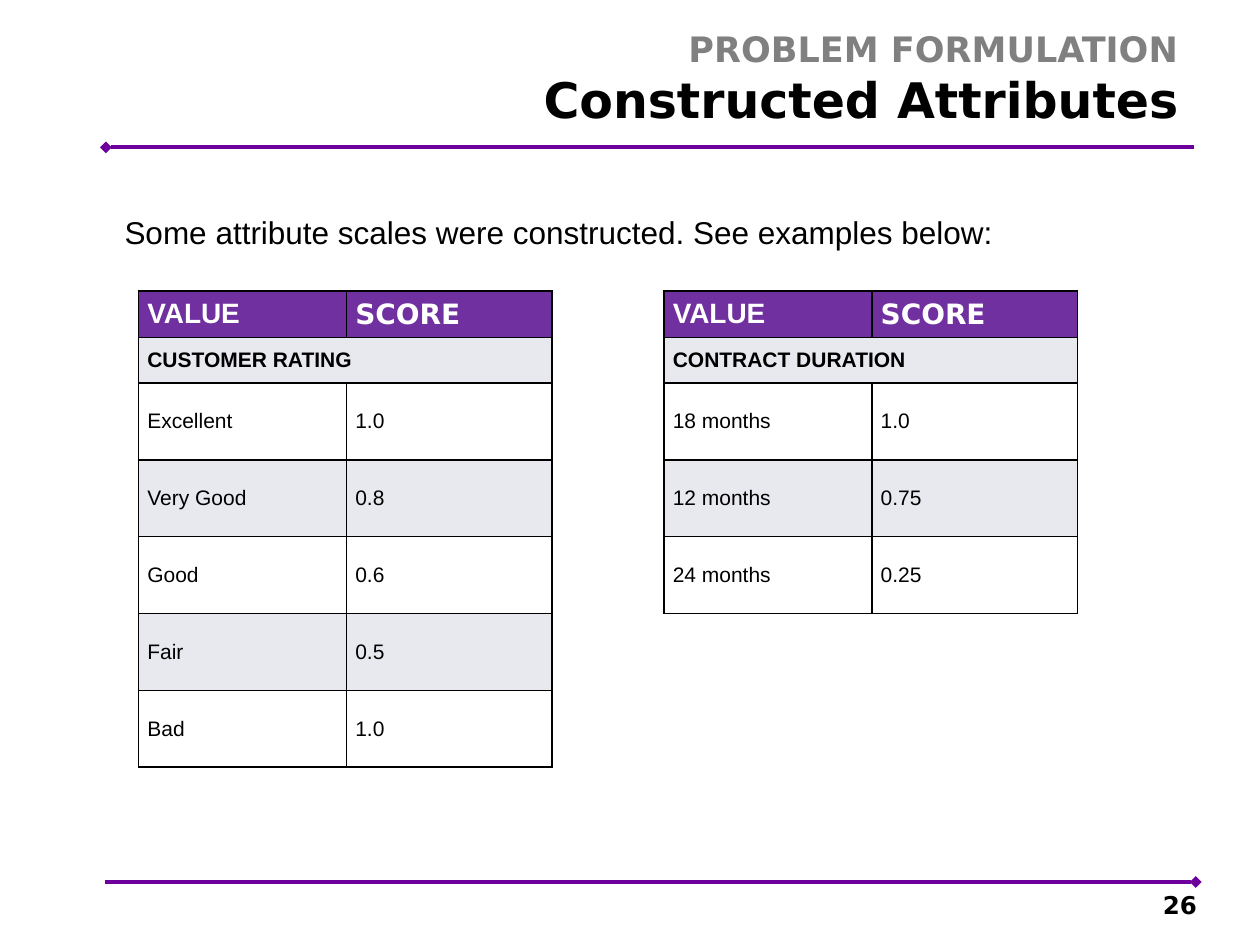
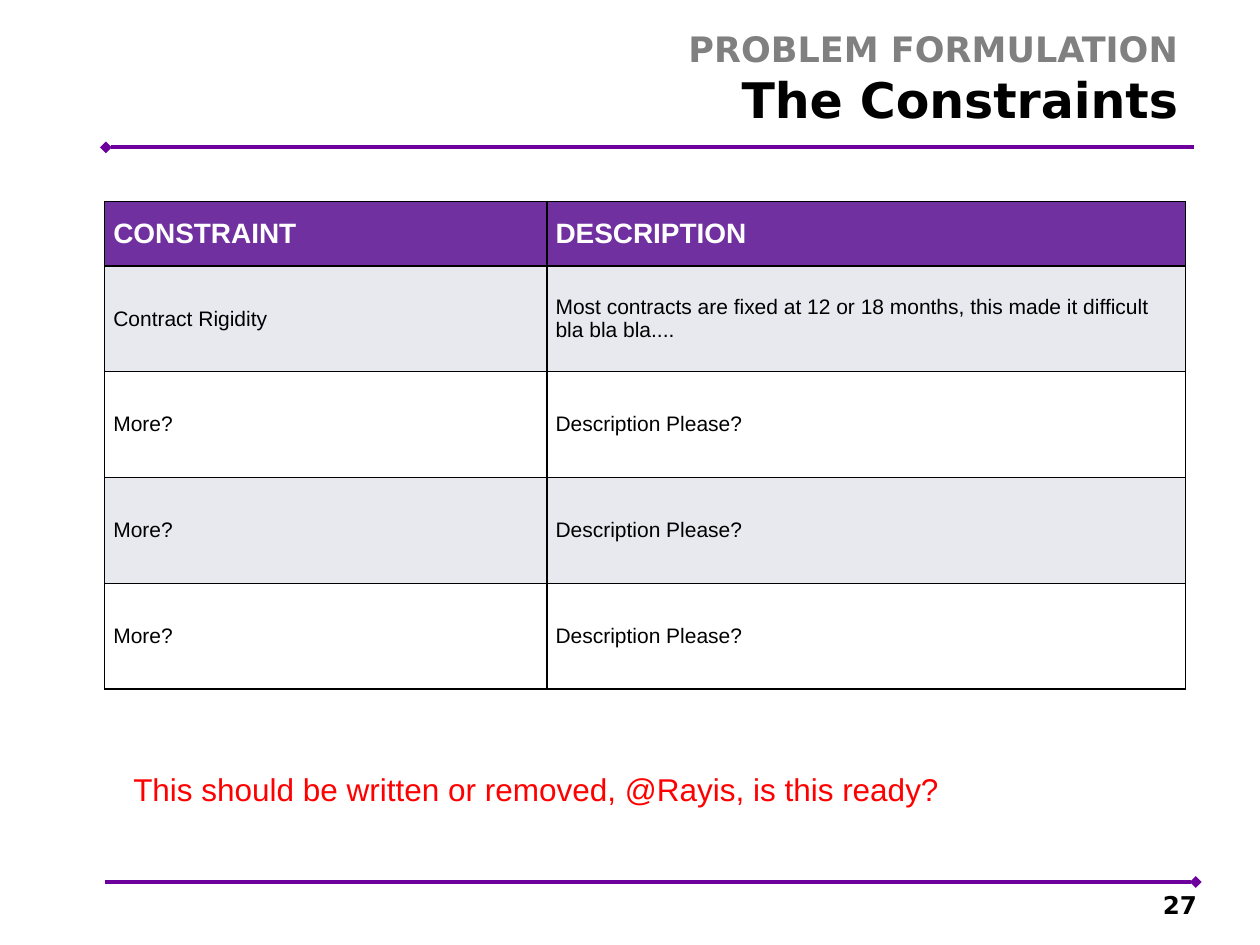
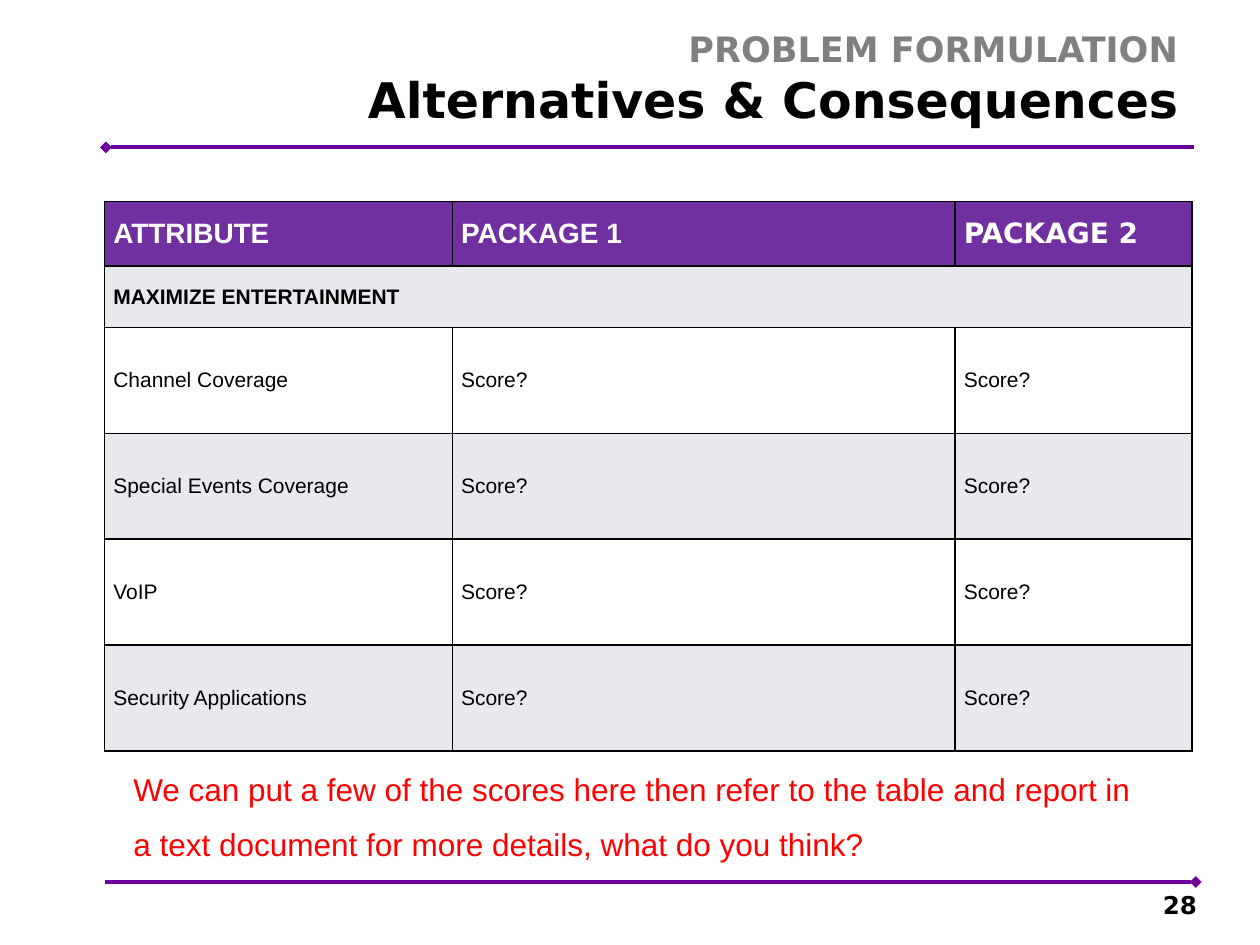
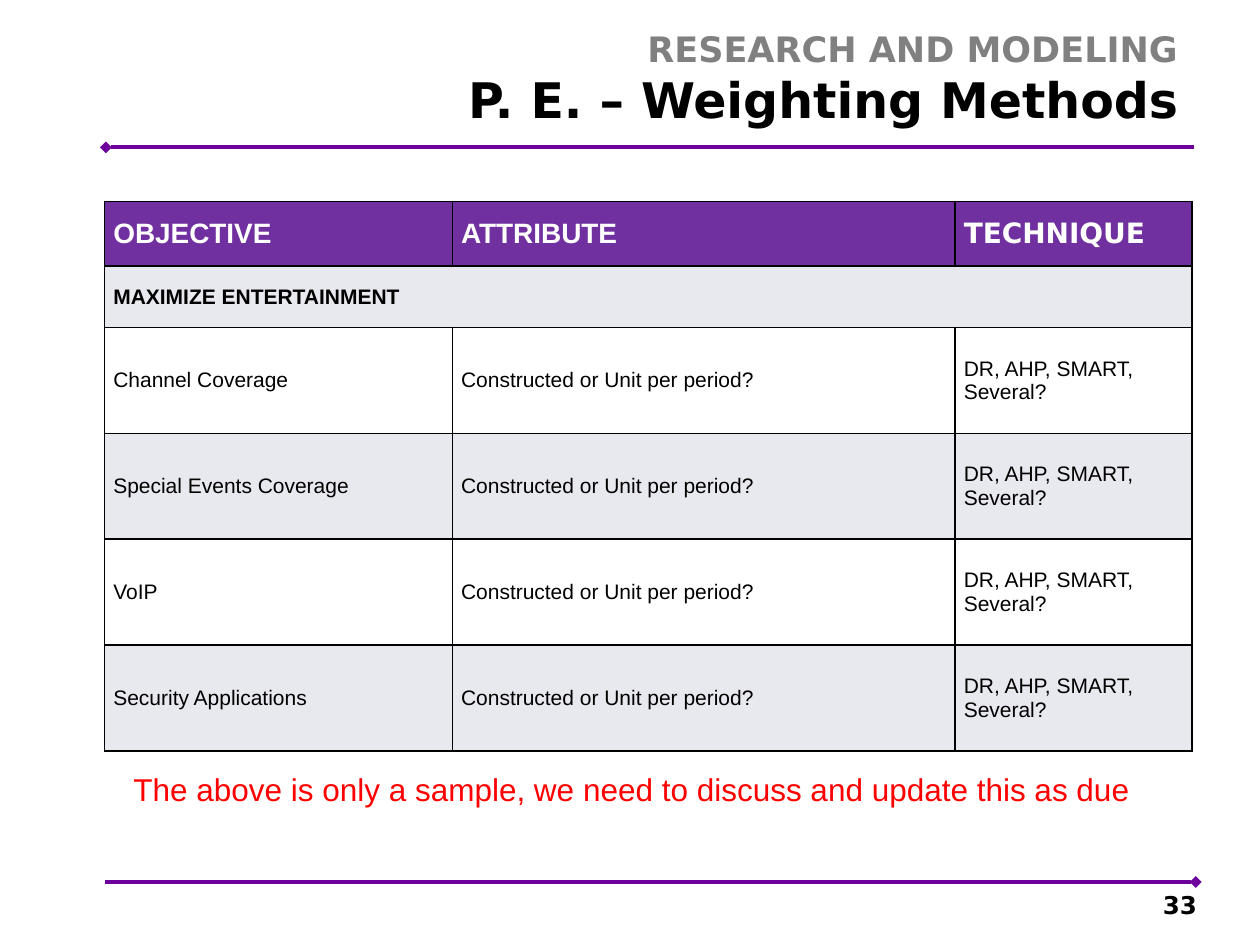
from lxml import etree
from pptx import Presentation
from pptx.dml.color import RGBColor
from pptx.enum.shapes import MSO_CONNECTOR
from pptx.enum.text import MSO_ANCHOR, MSO_AUTO_SIZE, PP_ALIGN
from pptx.oxml.ns import qn
from pptx.util import Inches, Pt

STRAIGHT = MSO_CONNECTOR.STRAIGHT
MIDDLE, BOTTOM = MSO_ANCHOR.MIDDLE, MSO_ANCHOR.BOTTOM
RIGHT = PP_ALIGN.RIGHT
NO_FIT, GROW = MSO_AUTO_SIZE.NONE, MSO_AUTO_SIZE.SHAPE_TO_FIT_TEXT

BODY_FONT, HEAD_FONT = "Arial", "DejaVu Sans"
BLACK, WHITE, GRAY, RED = "000000", "FFFFFF", "808080", "FF0000"
RULE_PURPLE, HEADER_PURPLE, BAND = "6D009D", "7030A0", "E8E8EF"

TITLE_ONLY = 5
TITLE_BOX = (2.64, 0.17, 6.81, 0.9)
NUMBER_BOX = (7.17, 7.06, 2.33, 0.29)
FORMULATION = "PROBLEM FORMULATION"

WIDE_TABLE = (0.83, 1.6)
WIDE_COLUMNS = (2.76, 3.99, 1.88)
WIDE_HEIGHTS = (0.51, 0.49, 0.84)
SCORE_COLUMNS = (1.65, 1.63)
SCORE_HEIGHTS = (0.37, 0.36, 0.61)
OBJECTIVE = "MAXIMIZE ENTERTAINMENT"
ATTRIBUTES = ("Channel Coverage", "Special Events Coverage", "VoIP",
              "Security Applications")


def color(value):
    """Turn a hex string into a colour."""
    return RGBColor.from_string(value)


def style(span, size, fill, font=BODY_FONT, bold=False):
    """Format one run of text."""
    span.font.size = Pt(size)
    span.font.name = font
    span.font.bold = bold
    span.font.color.rgb = color(fill)


def place(shape, box):
    """Move a shape to a box given in inches."""
    shape.left, shape.top, shape.width, shape.height = map(Inches, box)


def add_rule(slide, layout, start, end, diamond_end):
    """Draw a purple rule with one diamond and move it to the layout."""
    rule = slide.shapes.add_connector(STRAIGHT, *map(Inches, (*start, *end)))
    rule.line.color.rgb = color(RULE_PURPLE)
    rule.line.width = Pt(2.25)
    etree.SubElement(rule.line._get_or_add_ln(), qn(diamond_end), type="diamond")
    etree.SubElement(rule.element.spPr, qn("a:effectLst"))
    layout.shapes.element.append(rule.element)


def prepare_layout(slide, layout):
    """Give the layout its rules and its title position."""
    add_rule(slide, layout, (0.84, 1.17), (9.48, 1.17), "a:headEnd")
    add_rule(slide, layout, (0.83, 7), (9.49, 7), "a:tailEnd")
    for holder in list(layout.placeholders):
        if holder.placeholder_format.idx == 0:
            place(holder, TITLE_BOX)
        else:
            holder.element.getparent().remove(holder.element)


def add_heading(slide, section, topic):
    """Fill the title with a small section line above the topic."""
    title = slide.shapes.title
    place(title, TITLE_BOX)
    frame = title.text_frame
    frame.text = f"{section}\v{topic}"
    frame.auto_size = NO_FIT
    para = frame.paragraphs[0]
    para.alignment = RIGHT
    for line_break in title.element.iter(qn("a:br")):
        etree.SubElement(line_break, qn("a:rPr"), sz="2000")
    style(para.runs[0], 20, GRAY, HEAD_FONT, True)
    style(para.runs[1], 28, BLACK, HEAD_FONT, True)


def add_number(slide, number):
    """Write the page number below the lower rule."""
    box = slide.shapes.add_textbox(*map(Inches, NUMBER_BOX))
    frame = box.text_frame
    frame.text = str(number)
    frame.word_wrap = True
    frame.vertical_anchor = BOTTOM
    frame.margin_right = 0
    frame.paragraphs[0].alignment = RIGHT
    style(frame.paragraphs[0].runs[0], 14, BLACK, HEAD_FONT, True)


def add_remark(slide, box, text, fill=RED):
    """Write unwrapped lines of body text."""
    frame = slide.shapes.add_textbox(*map(Inches, box)).text_frame
    frame.text = text
    frame.word_wrap = False
    frame.auto_size = GROW
    for index, para in enumerate(frame.paragraphs):
        para.space_before = Pt(10 if index else 0)
        style(para.runs[0], 18, fill)


def add_borders(cell):
    """Draw a thin black border on the four sides of a cell."""
    properties = cell._tc.get_or_add_tcPr()
    for index, side in enumerate(("a:lnL", "a:lnR", "a:lnT", "a:lnB")):
        line = etree.Element(qn(side), w=str(Pt(1)))
        fill = etree.SubElement(line, qn("a:solidFill"))
        etree.SubElement(fill, qn("a:srgbClr"), val=BLACK)
        properties.insert(index, line)


def fill_cell(cell, text, fill, size, ink, font, bold):
    """Write one table cell with its fill and borders."""
    cell.text = text
    cell.vertical_anchor = MIDDLE
    cell.margin_left = cell.margin_right = Inches(0.07)
    cell.margin_top = cell.margin_bottom = 0
    cell.fill.solid()
    cell.fill.fore_color.rgb = color(fill)
    add_borders(cell)
    for span in cell.text_frame.paragraphs[0].runs:
        style(span, size, ink, font, bold)


def add_banded_table(slide, corner, widths, heights, header, records, group=None):
    """Build a table with a purple header, an optional group row and bands."""
    header_height, group_height, record_height = heights
    rows = [header, *records]
    row_heights = [header_height] + [record_height] * len(records)
    if group:
        rows.insert(1, (group,) + ("",) * (len(widths) - 1))
        row_heights.insert(1, group_height)
    box = (*corner, sum(widths), sum(row_heights))
    table = slide.shapes.add_table(len(rows), len(widths), *map(Inches, box)).table
    for column, width in zip(table.columns, widths):
        column.width = Inches(width)
    for r, (texts, height) in enumerate(zip(rows, row_heights)):
        table.rows[r].height = Inches(height)
        for c, text in enumerate(texts):
            if r == 0:
                last = group and c == len(widths) - 1
                look = (HEADER_PURPLE, 16, WHITE, HEAD_FONT if last else BODY_FONT, True)
            else:
                look = (BAND if r % 2 else WHITE, 12, BLACK, BODY_FONT,
                        bool(group) and r == 1)
            fill_cell(table.cell(r, c), text, *look)
    if group:
        table.cell(1, 0).merge(table.cell(1, len(widths) - 1))


def fill_constructed(slide):
    """Show the two constructed scales side by side."""
    add_remark(slide, (0.89, 1.64, 7.16, 0.4),
               "Some attribute scales were constructed. See examples below:", BLACK)
    ratings = (("Excellent", "1.0"), ("Very Good", "0.8"), ("Good", "0.6"),
               ("Fair", "0.5"), ("Bad", "1.0"))
    durations = (("18 months", "1.0"), ("12 months", "0.75"), ("24 months", "0.25"))
    for left, group, records in ((1.1, "CUSTOMER RATING", ratings),
                                 (5.27, "CONTRACT DURATION", durations)):
        add_banded_table(slide, (left, 2.31), SCORE_COLUMNS, SCORE_HEIGHTS,
                         ("VALUE", "SCORE"), records, group)


def fill_constraints(slide):
    """Show the table of constraints with its remark."""
    rigidity = ("Contract Rigidity", "Most contracts are fixed at 12 or 18 months, "
                "this made it difficult bla bla bla....")
    records = [rigidity] + [("More?", "Description Please?")] * 3
    add_banded_table(slide, WIDE_TABLE, (3.51, 5.07), WIDE_HEIGHTS,
                     ("CONSTRAINT", "DESCRIPTION"), records)
    add_remark(slide, (0.96, 6.06, 6.8, 0.4),
               "This should be written or removed, @Rayis, is this ready?")


def fill_attributes(slide, header, answers, remark, remark_size):
    """Show the attributes with the same answers in each row and a remark."""
    records = [(attribute, *answers) for attribute in ATTRIBUTES]
    add_banded_table(slide, WIDE_TABLE, WIDE_COLUMNS, WIDE_HEIGHTS,
                     header, records, OBJECTIVE)
    add_remark(slide, (0.96, 6.06, *remark_size), remark)


def fill_alternatives(slide):
    """Compare the two packages."""
    fill_attributes(slide, ("ATTRIBUTE", "PACKAGE 1", "PACKAGE 2"),
                    ("Score?", "Score?"),
                    "We can put a few of the scores here then refer to the table "
                    "and report in\na text document for more details, what do you think?",
                    (8.35, 0.86))


def fill_weighting(slide):
    """List the weighting techniques."""
    fill_attributes(slide, ("OBJECTIVE", "ATTRIBUTE", "TECHNIQUE"),
                    ("Constructed or Unit per period?", "DR, AHP, SMART, Several?"),
                    "The above is only a sample, we need to discuss and update "
                    "this as due", (8.18, 0.4))


def main():
    """Build the four slides and save the deck."""
    deck = Presentation()
    deck.slide_width, deck.slide_height = Inches(10), Inches(7.5)
    layout = deck.slide_layouts[TITLE_ONLY]
    pages = (
        (FORMULATION, "Constructed Attributes", 26, fill_constructed),
        (FORMULATION, "The Constraints", 27, fill_constraints),
        (FORMULATION, "Alternatives & Consequences", 28, fill_alternatives),
        ("RESEARCH AND MODELING", "P. E. – Weighting Methods", 33, fill_weighting),
    )
    for index, (section, topic, number, fill_body) in enumerate(pages):
        page = deck.slides.add_slide(layout)
        if index == 0:
            prepare_layout(page, layout)
        add_heading(page, section, topic)
        add_number(page, number)
        fill_body(page)
    deck.save("out.pptx")


if __name__ == "__main__":
    main()
